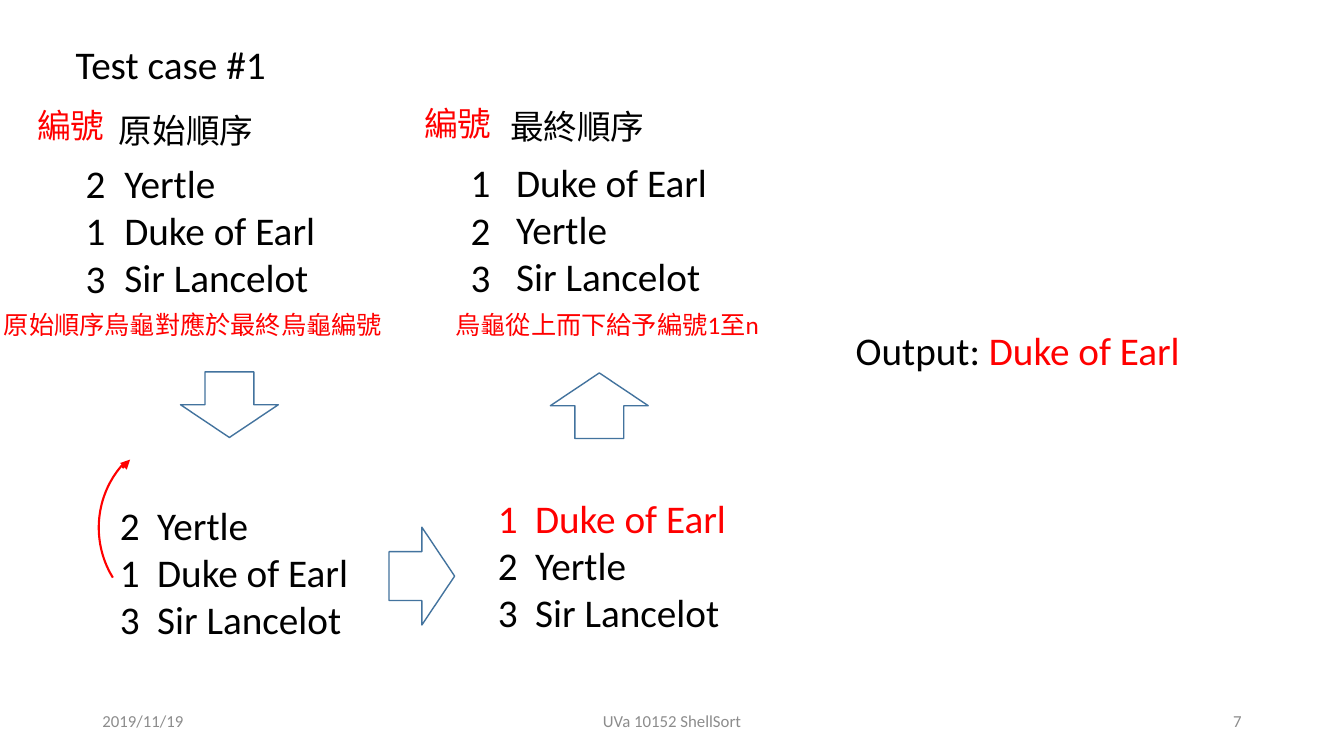
from lxml import etree
from pptx import Presentation, util as u
from pptx.dml.color import RGBColor
from pptx.enum import shapes, text
from pptx.oxml import ns

BLACK, RED, GREY, BLUE = "000000", "FF0000", "8C8C8C", "43739E"
LATIN, EAST_ASIAN = "Calibri", "Noto Sans CJK SC"
LEFT, CENTER, RIGHT = text.PP_ALIGN.LEFT, text.PP_ALIGN.CENTER, text.PP_ALIGN.RIGHT
TAB = u.Inches(0.37)


def rgb(value):
    return RGBColor.from_string(value)


def child(parent, tag, **attrs):
    return etree.SubElement(parent, ns.qn(tag), {k: str(v) for k, v in attrs.items()})


class Deck:
    def __init__(self, prs, layout):
        self.width, self.height = prs.slide_width, prs.slide_height
        self.s = prs.slides.add_slide(prs.slide_layouts[layout])

    def x(self, share):
        return round(self.width * share / 100)

    def y(self, share):
        return round(self.height * share / 100)

    def box(self, x, y, w, h):
        return self.x(x), self.y(y), self.x(w), self.y(h)

    def set_lines(self, sp, lines, size, color, align=LEFT, anchor=text.MSO_ANCHOR.TOP, grow=True):
        tf = sp.text_frame
        tf.word_wrap = True
        tf.vertical_anchor = anchor
        tf.auto_size = text.MSO_AUTO_SIZE.SHAPE_TO_FIT_TEXT if grow else text.MSO_AUTO_SIZE.NONE
        for i, line in enumerate(lines):
            p = tf.paragraphs[0] if i == 0 else tf.add_paragraph()
            runs = [(line, color)] if isinstance(line, str) else line
            self.style(p, size, runs[0][1], align, any("\t" in t for t, _ in runs))
            for words, shade in runs:
                r = p.add_run()
                r.text = words
                if shade != runs[0][1]:
                    r.font.color.rgb = rgb(shade)

    def style(self, p, size, color, align, tabbed):
        p.alignment = align
        p.space_before = p.space_after = u.Pt(0)
        p.line_spacing = 1.0
        pPr = p._p.get_or_add_pPr()
        hang = TAB if tabbed else 0
        pPr.set("marL", str(hang))
        pPr.set("indent", str(-hang))
        child(pPr, "a:buNone")
        if tabbed:
            child(child(pPr, "a:tabLst"), "a:tab", pos=hang, algn="l")
        p.font.size, p.font.bold, p.font.name = u.Pt(size), False, LATIN
        p.font.color.rgb = rgb(color)
        child(pPr.find(ns.qn("a:defRPr")), "a:ea", typeface=EAST_ASIAN)

    def label(self, x, y, w, h, lines, size=28, color=BLACK, **style):
        sp = self.s.shapes.add_textbox(*self.box(x, y, w, h))
        self.set_lines(sp, lines, size, color, **style)

    def placeholder(self, idx, x, y, w, h, lines, size=28, color=BLACK):
        sp = self.s.placeholders[idx]
        sp.left, sp.top, sp.width, sp.height = self.box(x, y, w, h)
        self.set_lines(sp, lines, size, color)

    def outline(self, kind, x, y, w, h, color, weight, rotation=0):
        sp = self.s.shapes.add_shape(kind, *self.box(x, y, w, h))
        sp.shadow.inherit = False
        sp.fill.background()
        sp.line.color.rgb, sp.line.width = rgb(color), u.Pt(weight)
        sp.rotation = rotation
        return sp

    def arc(self, x, y, w, h, start, end, color, weight):
        sp = self.outline(shapes.MSO_SHAPE.ARC, x, y, w, h, color, weight)
        for i, degrees in enumerate((start, end)):
            sp.adjustments[i] = degrees * 0.6

    def arrow_line(self, x1, y1, x2, y2, color, weight):
        c = self.s.shapes.add_connector(
            shapes.MSO_CONNECTOR.STRAIGHT, self.x(x1), self.y(y1), self.x(x2), self.y(y2))
        c.line.color.rgb, c.line.width = rgb(color), u.Pt(weight)
        spPr = c._element.spPr
        child(spPr.find(ns.qn("a:ln")), "a:tailEnd", type="triangle")
        child(spPr, "a:effectLst")


def main():
    prs = Presentation()
    prs.slide_width, prs.slide_height = u.Inches(13.33), u.Inches(7.5)
    deck = Deck(prs, 4)

    for x, w, words, align in ((6.88, 22.5, "2019/11/19", LEFT),
                               (33.13, 33.75, "UVa 10152 ShellSort", CENTER),
                               (70.63, 22.5, "7", RIGHT)):
        deck.label(x, 92.7, w, 5.3, [words], 12, GREY, align=align,
                   anchor=text.MSO_ANCHOR.MIDDLE, grow=False)

    deck.placeholder(0, 4.88, 4.67, 15.75, 7.6, ["Test case #1"])

    turtles = ["Yertle", "Duke of Earl", "Sir Lancelot"]
    final = ["Duke of Earl", "Yertle", "Sir Lancelot"]
    orders = (
        (1, "原始順序", 8.1, 13.87, turtles, 8.5, 20.4, "213", 5.63, 2.03, 13.2),
        (3, "最終順序", 37.2, 13.33, final, 37.65, 20.27, "123", 34.28, 30.83, 12.93),
    )
    for idx, head, head_x, head_y, names, x, y, numbers, number_x, tag_x, tag_y in orders:
        deck.placeholder(idx, head_x, head_y, 12.75, 6.67, [head], 24)
        deck.placeholder(idx + 1, x, y, 16.43, 20.13, names)
        for row, number in enumerate(numbers):
            deck.label(number_x, y + row * 6.3, 2.93, 7.6, [number])
        deck.label(tag_x, tag_y, 7.2, 6.67, ["編號"], 24, RED)

    for x, w, note in ((33.15, 24.15, "烏龜從上而下給予編號1至n"),
                       (-0.45, 30.3, "原始順序烏龜對應於最終烏龜編號")):
        deck.label(x, 40.27, w, 5.33, [note], 18, RED)

    before = [f"{n}\t{name}" for n, name in zip("213", turtles)]
    after = [f"{n}\t{name}" for n, name in zip("123", final)]
    deck.label(8.18, 65.6, 19.28, 20.13, before)
    deck.label(36.3, 64.67, 19.28, 20.13, [[(after[0], RED)], *after[1:]])
    deck.arc(7.35, 57.6, 13.13, 24.4, 146, 226, RED, 1.5)
    deck.arrow_line(9.08, 61.87, 9.68, 60.8, RED, 2.25)

    for x, y, rotation in ((13.43, 49.2, 0), (27.75, 71.87, 270), (40.95, 49.33, 180)):
        deck.outline(shapes.MSO_SHAPE.DOWN_ARROW, x, y, 7.28, 8.67, BLUE, 1, rotation)

    deck.label(62.93, 42.53, 28.58, 7.6, [[("Output: ", BLACK), ("Duke of Earl", RED)]])

    prs.save("out.pptx")


if __name__ == "__main__":
    main()
